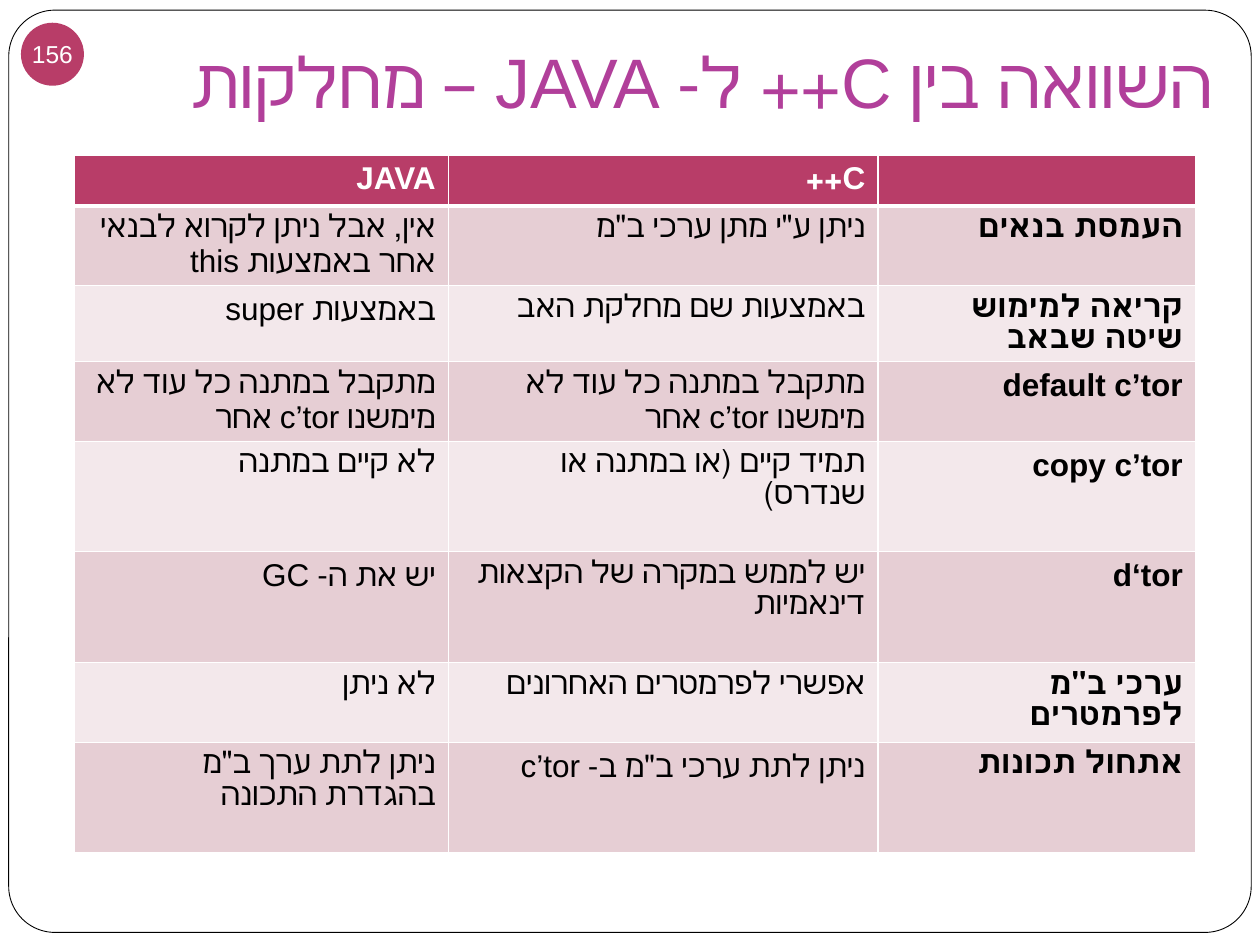
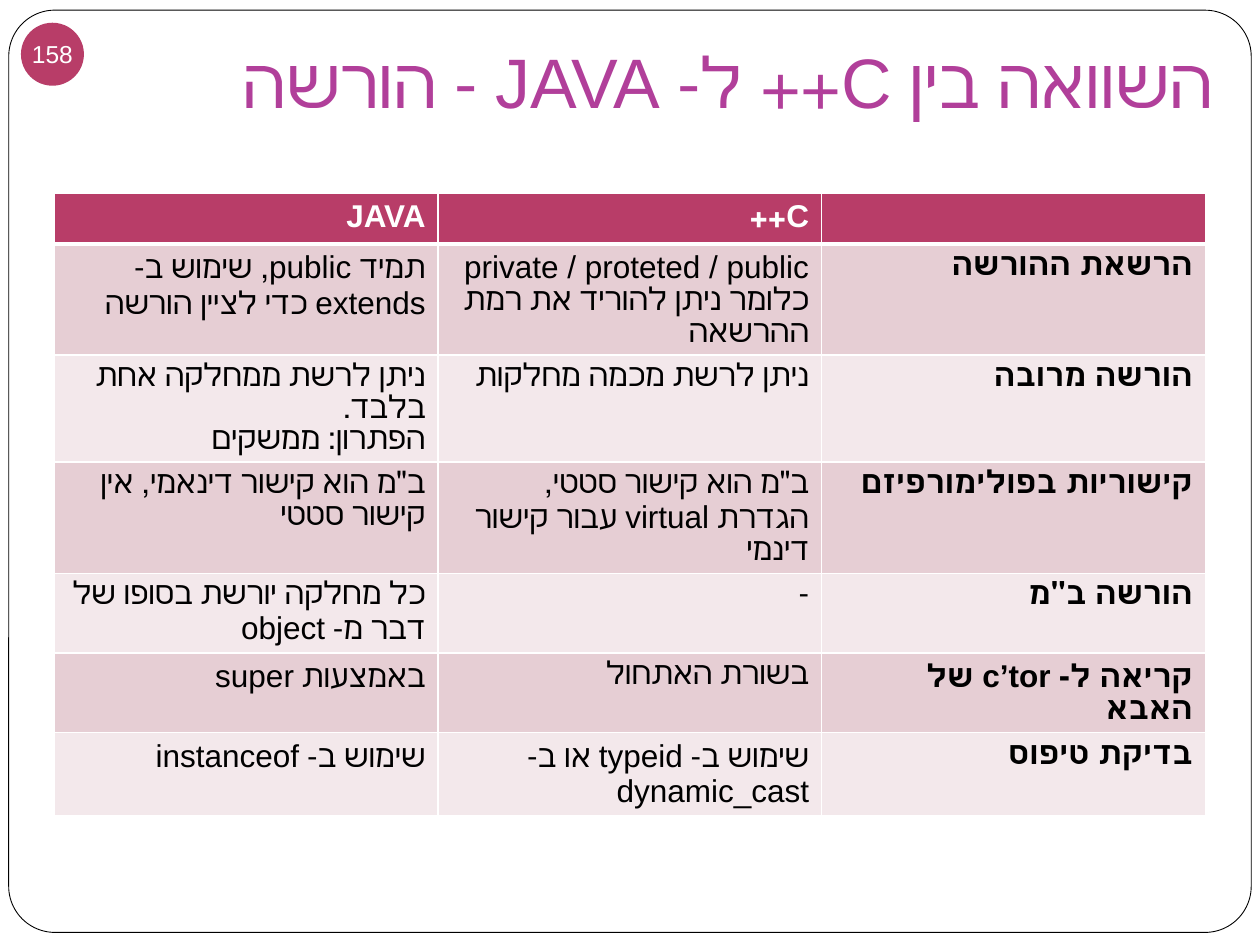
from dataclasses import dataclass

from pptx import Presentation
from pptx.dml.color import RGBColor
from pptx.enum.shapes import MSO_SHAPE as Preset
from pptx.enum.text import MSO_ANCHOR as Anchor, MSO_AUTO_SIZE as AutoSize, PP_ALIGN as Align
from pptx.oxml import parse_xml
from pptx.oxml.ns import nsdecls
from pptx.slide import Slide
from pptx.table import _Cell as Cell
from pptx.text.text import _Paragraph as Paragraph
from pptx.util import Pt

WHITE = RGBColor(0xFF, 0xFF, 0xFF)
BLACK = RGBColor(0x00, 0x00, 0x00)
PURPLE = RGBColor(0xB1, 0x3F, 0x9A)
CRIMSON = RGBColor(0xB8, 0x3D, 0x68)
BANDS = (RGBColor(0xE6, 0xCE, 0xD4), RGBColor(0xF3, 0xE8, 0xEB))
FONT = "Arial"
TITLE_ONLY_LAYOUT = 5
HEADER = ("JAVA", "C++", "")


@dataclass
class ComparisonTable:
    """Columns run JAVA, C++, topic; a line break starts a new paragraph."""
    left: float
    top: float
    column_widths: tuple[float, ...]
    row_heights: tuple[float, ...]
    rows: tuple[tuple[str, str, str], ...]


@dataclass
class ComparisonSlide:
    number: int
    title: str
    table: ComparisonTable


CLASSES = ComparisonSlide(156, "השוואה בין C++ ל- JAVA – מחלקות", ComparisonTable(
    left=42.7, top=88.6,
    column_widths=(213.5, 245.5, 181.5),
    row_heights=(29.2, 45, 43.5, 45.5, 63, 63.5, 45.5, 63),
    rows=(
        ("אין, אבל ניתן לקרוא לבנאי אחר באמצעות this",
         "ניתן ע\"י מתן ערכי ב\"מ",
         "העמסת בנאים"),
        ("באמצעות super", "באמצעות שם מחלקת האב", "קריאה למימוש שיטה שבאב"),
        ("מתקבל במתנה כל עוד לא מימשנו c’tor אחר",
         "מתקבל במתנה כל עוד לא מימשנו c’tor אחר",
         "default c’tor"),
        ("לא קיים במתנה", "תמיד קיים (או במתנה או שנדרס)", "copy c’tor"),
        ("יש את ה- GC", "יש לממש במקרה של הקצאות דינאמיות", "d‘tor"),
        ("לא ניתן", "אפשרי לפרמטרים האחרונים", "ערכי ב\"מ לפרמטרים"),
        ("ניתן לתת ערך ב\"מ בהגדרת התכונה",
         "ניתן לתת ערכי ב\"מ ב- c’tor",
         "אתחול תכונות"),
    )))

INHERITANCE = ComparisonSlide(158, "השוואה בין C++ ל- JAVA - הורשה", ComparisonTable(
    left=31.2, top=110.2,
    column_widths=(219.2,) * 3,
    row_heights=(28.6, 63.5, 61.2, 63.5, 45.5, 45.5, 47),
    rows=(
        ("תמיד public, שימוש ב- extends כדי לציין הורשה",
         "private / proteted / public\nכלומר ניתן להוריד את רמת ההרשאה",
         "הרשאת ההורשה"),
        ("ניתן לרשת ממחלקה אחת בלבד.\nהפתרון: ממשקים",
         "ניתן לרשת מכמה מחלקות",
         "הורשה מרובה"),
        ("ב\"מ הוא קישור דינאמי, אין קישור סטטי",
         "ב\"מ הוא קישור סטטי, הגדרת virtual עבור קישור דינמי",
         "קישוריות בפולימורפיזם"),
        ("כל מחלקה יורשת בסופו של דבר מ- object", "-", "הורשה ב\"מ"),
        ("באמצעות super", "בשורת האתחול", "קריאה ל- c’tor של האבא"),
        ("שימוש ב- instanceof", "שימוש ב- typeid או ב- dynamic_cast", "בדיקת טיפוס"),
    )))


def add_run(paragraph: Paragraph, text: str, size: float, color: RGBColor,
            bold: bool = False) -> None:
    run = paragraph.add_run()
    run.text = text
    run.font.name = FONT
    run.font.size = Pt(size)
    run.font.bold = bold
    run.font.color.rgb = color


def set_right_to_left(paragraph: Paragraph) -> None:
    paragraph.alignment = Align.RIGHT
    paragraph._p.get_or_add_pPr().set("rtl", "1")


def add_frame(slide: Slide) -> None:
    """Draw the rounded page border behind everything else."""
    frame = slide.shapes.add_shape(Preset.ROUNDED_RECTANGLE, Pt(5), Pt(5.8), Pt(710), Pt(527))
    frame.adjustments[0] = 0.05
    frame.shadow.inherit = False
    frame.fill.solid()
    frame.fill.fore_color.rgb = WHITE
    frame.line.color.rgb = BLACK
    frame.line.width = Pt(0.5)
    slide.shapes.title.element.addprevious(frame.element)


def set_title(slide: Slide, text: str) -> None:
    title = slide.shapes.title
    title.left, title.top, title.width, title.height = Pt(14.4), Pt(21.6), Pt(686), Pt(55.4)
    text_frame = title.text_frame
    text_frame.auto_size = AutoSize.NONE
    text_frame.word_wrap = True
    text_frame.vertical_anchor = Anchor.BOTTOM
    text_frame.margin_bottom = Pt(7.2)
    paragraph = text_frame.paragraphs[0]
    set_right_to_left(paragraph)
    add_run(paragraph, text, 40, PURPLE)


def add_number_badge(slide: Slide, number: int) -> None:
    badge = slide.shapes.add_shape(Preset.OVAL, Pt(12), Pt(13), Pt(36), Pt(36))
    badge.shadow.inherit = False
    badge.fill.solid()
    badge.fill.fore_color.rgb = CRIMSON
    badge.line.fill.background()
    text_frame = badge.text_frame
    text_frame.word_wrap = False
    text_frame.vertical_anchor = Anchor.MIDDLE
    text_frame.margin_left = text_frame.margin_right = 0
    text_frame.margin_top = text_frame.margin_bottom = 0
    paragraph = text_frame.paragraphs[0]
    paragraph.alignment = Align.CENTER
    add_run(paragraph, str(number), 14, WHITE)


def add_borders(cell: Cell, top: float, bottom: float) -> None:
    properties = cell._tc.get_or_add_tcPr()
    for side, width in (("L", 1), ("R", 1), ("T", top), ("B", bottom)):
        properties.append(parse_xml(
            f'<a:ln{side} {nsdecls("a")} w="{Pt(width)}"><a:solidFill>'
            f'<a:srgbClr val="{WHITE}"/></a:solidFill></a:ln{side}>'))


def fill_cell(cell: Cell, text: str, row: int, is_topic: bool) -> None:
    is_header = row == 0
    add_borders(cell, top=3 if row == 1 else 1, bottom=3 if is_header else 1)
    cell.fill.solid()
    cell.fill.fore_color.rgb = CRIMSON if is_header else BANDS[(row - 1) % 2]
    for index, line in enumerate(text.splitlines()):
        text_frame = cell.text_frame
        paragraph = text_frame.add_paragraph() if index else text_frame.paragraphs[0]
        set_right_to_left(paragraph)
        add_run(paragraph, line, 18, WHITE if is_header else BLACK, is_header or is_topic)


def add_comparison_table(slide: Slide, content: ComparisonTable) -> None:
    rows = (HEADER, *content.rows)
    table = slide.shapes.add_table(
        len(rows), len(HEADER), Pt(content.left), Pt(content.top),
        Pt(sum(content.column_widths)), Pt(sum(content.row_heights))).table
    for column, width in zip(table.columns, content.column_widths):
        column.width = Pt(width)
    for row, height in zip(table.rows, content.row_heights):
        row.height = Pt(height)
    for row_index, texts in enumerate(rows):
        for column_index, text in enumerate(texts):
            fill_cell(table.cell(row_index, column_index), text, row_index,
                      is_topic=column_index == len(HEADER) - 1)


def main() -> None:
    presentation = Presentation()
    presentation.slide_width, presentation.slide_height = Pt(720), Pt(540)
    for content in (CLASSES, INHERITANCE):
        slide = presentation.slides.add_slide(presentation.slide_layouts[TITLE_ONLY_LAYOUT])
        add_frame(slide)
        set_title(slide, content.title)
        add_number_badge(slide, content.number)
        add_comparison_table(slide, content.table)
    presentation.save("out.pptx")


if __name__ == "__main__":
    main()
